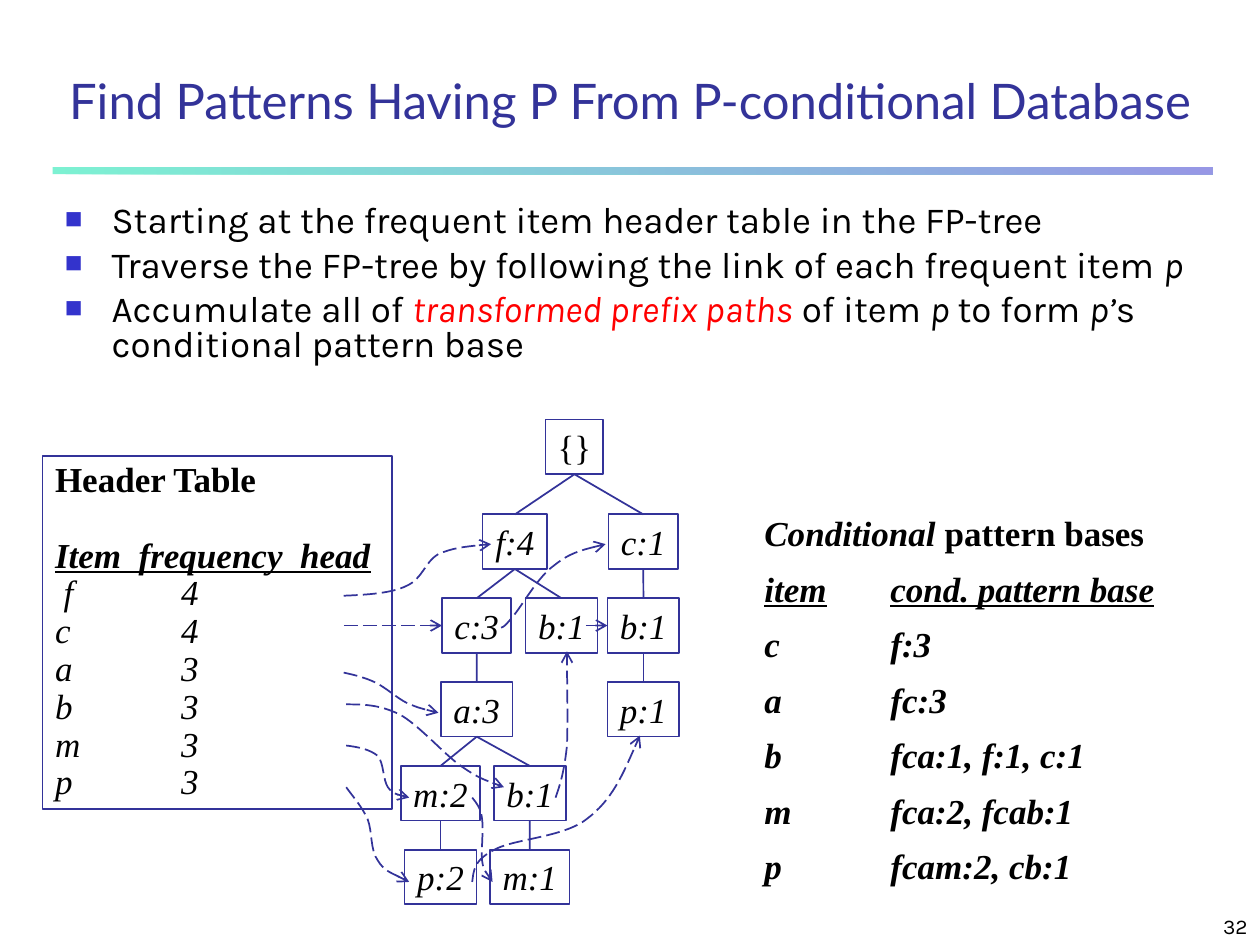
from collections import namedtuple
from dataclasses import dataclass

from lxml import etree
from pptx import Presentation
from pptx.dml.color import RGBColor
from pptx.enum.dml import MSO_LINE
from pptx.enum.shapes import MSO_CONNECTOR, MSO_SHAPE
from pptx.enum.text import MSO_ANCHOR, PP_ALIGN
from pptx.oxml.ns import qn
from pptx.util import Cm, Pt

RECTANGLE = MSO_SHAPE.RECTANGLE
STRAIGHT = MSO_CONNECTOR.STRAIGHT
LONG_DASH = MSO_LINE.LONG_DASH
TOP, BOTTOM = MSO_ANCHOR.TOP, MSO_ANCHOR.BOTTOM
LEFT, CENTER, RIGHT = PP_ALIGN.LEFT, PP_ALIGN.CENTER, PP_ALIGN.RIGHT
SIDE_TOP, SIDE_LEFT, SIDE_BOTTOM = 0, 1, 2

Box = namedtuple("Box", "left top width height")


@dataclass(frozen=True)
class Theme:
    ink: RGBColor = RGBColor(0, 0, 0)
    navy: RGBColor = RGBColor(0x33, 0x33, 0x99)
    blue: RGBColor = RGBColor(0x33, 0x33, 0xCC)
    green: RGBColor = RGBColor(0x00, 0xE4, 0xA8)
    red: RGBColor = RGBColor(0xFF, 0, 0)
    title_font: str = "Lato"
    body_font: str = "Karla"
    figure_font: str = "Times New Roman"
    title_size: int = 28
    body_size: int = 21
    figure_size: int = 20
    number_size: int = 12
    stroke: int = 1


THEME = Theme()

NODE_HEIGHT = 1.1
NODE_WIDTHS = {"{": 1.17, "f": 1.3, "c": 1.4, "m": 1.6}
LEVEL_TOPS = [0] + [1.91 + 1.69 * step for step in range(5)]
NODES = {
    "root": ("{}", 3.5, 0, None),
    "f4": ("f:4", 2.3, 1, "root"),
    "c1": ("c:1", 4.89, 1, "root"),
    "c3": ("c:3", 1.53, 2, "f4"),
    "b_middle": ("b:1", 3.24, 2, "f4"),
    "b_right": ("b:1", 4.89, 2, "c1"),
    "a3": ("a:3", 1.53, 3, "c3"),
    "p1": ("p:1", 4.89, 3, "b_right"),
    "m2": ("m:2", 0.8, 4, "a3"),
    "b_low": ("b:1", 2.6, 4, "a3"),
    "p2": ("p:2", 0.8, 5, "m2"),
    "m1": ("m:1", 2.6, 5, "b_low"),
}
STRAIGHT_LINKS = [(0, 1.64, "c3"), (4.88, 1.64, "b_right")]
CURVED_LINKS = [
    [(0, 1.04), (0.48, 1.02), (0.97, 0.99), (1.27, 0.84), (1.6, 0.69), (1.63, 0.36),
     (1.91, 0.2), (2.18, 0.08), (2.59, 0.03), (2.97, 0)],
    [(3.17, 1.68), (3.2, 1.68), (3.23, 1.68), (3.4, 1.47), (3.58, 1.27), (3.91, 0.66),
     (4.24, 0.43), (4.55, 0.18), (4.93, 0.08), (5.28, 0)],
    [(0, 2.59), (0.23, 2.64), (0.43, 2.69), (0.64, 2.79), (0.86, 2.9), (1.07, 3.1),
     (1.27, 3.2), (1.5, 3.3), (1.7, 3.35), (1.91, 3.4)],
    [(0.05, 3.23), (0.38, 3.23), (0.71, 3.23), (1.12, 3.43), (1.5, 3.63), (2.03, 4.24),
     (2.36, 4.47), (2.72, 4.72), (2.97, 4.8), (3.23, 4.9)],
    [(4.27, 5.11), (4.37, 4.83), (4.45, 4.55), (4.5, 4.06), (4.52, 3.56), (4.5, 2.87),
     (4.5, 2.16)],
    [(0.05, 4.06), (0.3, 4.09), (0.53, 4.14), (0.69, 4.27), (0.81, 4.42), (0.79, 4.75),
     (0.89, 4.9), (0.99, 5.03), (1.14, 5.08), (1.32, 5.11)],
    [(2.59, 5.11), (2.67, 5.21), (2.77, 5.33), (2.79, 5.54), (2.82, 5.74), (2.77, 6.17),
     (2.79, 6.38), (2.82, 6.58), (2.92, 6.71), (3, 6.81)],
    [(0.05, 4.9), (0.2, 5.11), (0.36, 5.28), (0.48, 5.54), (0.58, 5.79), (0.53, 6.17),
     (0.69, 6.38), (0.81, 6.58), (1.07, 6.68), (1.32, 6.81)],
    [(2.59, 6.81), (2.62, 6.58), (2.62, 6.38), (3.02, 6.17), (3.4, 5.94), (4.42, 5.92),
     (4.9, 5.54), (5.41, 5.16), (5.69, 4.5), (5.97, 3.86)],
]


def write(shape, rows, font, size, color, align=LEFT, anchor=TOP):
    frame = shape.text_frame
    frame.vertical_anchor = anchor
    for index, row in enumerate(rows):
        para = frame.add_paragraph() if index else frame.paragraphs[0]
        para.alignment = align
        for text, marks in row:
            span = para.add_run()
            span.text = text
            span.font.name, span.font.size = font, Pt(size)
            span.font.color.rgb = THEME.red if "r" in marks else color
            span.font.bold, span.font.italic = "b" in marks, "i" in marks
            span.font.underline = "u" in marks
    return frame.paragraphs


def add_text(page, box, rows, *style, **layout):
    shape = page.shapes.add_textbox(*map(Cm, box))
    shape.text_frame.word_wrap = True
    return write(shape, rows, *style, **layout)


def add_tab_stop(para):
    tabs = etree.SubElement(para._p.get_or_add_pPr(), qn("a:tabLst"))
    etree.SubElement(tabs, qn("a:tab"), pos=str(Cm(2.54)), algn="l")


def outline(shape):
    shape.line.color.rgb = THEME.navy
    shape.line.width = Pt(THEME.stroke)


def add_frame(page, box, rows, align=LEFT):
    shape = page.shapes.add_shape(RECTANGLE, *map(Cm, box))
    shape.shadow.inherit = False
    shape.fill.background()
    outline(shape)
    shape.text_frame.word_wrap = False
    write(shape, rows, THEME.figure_font, THEME.figure_size, THEME.ink, align=align)
    return shape


def add_node(page, box, label, marks):
    node = add_frame(page, box, [[(label, marks)]], align=CENTER)
    node.text_frame.margin_left = node.text_frame.margin_right = Cm(0)
    return node


def add_line(page, *ends):
    line = page.shapes.add_connector(STRAIGHT, *map(Cm, ends))
    outline(line)
    etree.SubElement(line._element.spPr, qn("a:effectLst"))
    return line


def make_link(shape):
    shape.line.dash_style = LONG_DASH
    etree.SubElement(shape.line._get_or_add_ln(), qn("a:tailEnd"), type="arrow")


def add_curve(page, points):
    start, *rest = [(Cm(x), Cm(y)) for x, y in points]
    builder = page.shapes.build_freeform(*start)
    builder.add_line_segments(rest, close=False)
    curve = builder.convert_to_shape()
    curve.shadow.inherit = False
    curve.fill.background()
    outline(curve)
    make_link(curve)
    segments = list(curve._element.iter(qn("a:lnTo")))
    for first in range(0, len(segments), 3):
        bezier = etree.SubElement(segments[first].getparent(), qn("a:cubicBezTo"))
        for segment in segments[first:first + 3]:
            bezier.append(segment[0])
            segment.getparent().remove(segment)


def add_heading(page, box, text):
    paras = add_text(page, Box(0, box.top, 25.4, 1.9), [[(text, "")]], THEME.title_font,
                     THEME.title_size, THEME.navy, align=CENTER, anchor=BOTTOM)
    paras[0].line_spacing = 0.9
    rule = page.shapes.add_shape(
        RECTANGLE, *map(Cm, (box.left, box.top + 2.53, box.width, 0.14)))
    rule.shadow.inherit = False
    rule.line.fill.background()
    rule.fill.gradient()
    rule.fill.gradient_angle = 0
    for stop, color in zip(rule.fill.gradient_stops, (THEME.green, THEME.blue)):
        stop.color.rgb = color
    for color in rule._element.spPr.iter(qn("a:srgbClr")):
        etree.SubElement(color, qn("a:alpha"), val="51000")


def add_bullets(page, box, rows):
    for para in add_text(page, box, rows, THEME.body_font, THEME.body_size, THEME.ink):
        para.line_spacing, para.space_before = 0.8, Pt(5.2)
        props = para._p.get_or_add_pPr()
        props.set("marL", str(Cm(0.94)))
        props.set("indent", str(-Cm(0.94)))
        color = etree.SubElement(props, qn("a:buClr"))
        etree.SubElement(color, qn("a:srgbClr"), val=str(THEME.blue))
        etree.SubElement(props, qn("a:buSzPct"), val="80000")
        etree.SubElement(props, qn("a:buFont"), typeface=THEME.figure_font)
        etree.SubElement(props, qn("a:buChar"), char="■")


def add_header_table(page, box):
    counts = [" f\t4", "c\t4", "a\t3", "b\t3", "m\t3", "p\t3"]
    rows = [[("Header Table", "b")], [("Item  frequency  head", "biu")]]
    table = add_frame(page, box, rows + [[(count, "i")] for count in counts])
    paras = table.text_frame.paragraphs
    for para in paras:
        para.line_spacing = 0.9
        add_tab_stop(para)
    paras[1].space_before = Pt(21.5)


def add_tree(page, box):
    shapes = {}
    for name, (label, center, level, parent) in NODES.items():
        width = NODE_WIDTHS.get(label[0], 1.45)
        place = Box(box.left + center - width / 2, box.top + LEVEL_TOPS[level],
                    width, NODE_HEIGHT)
        shapes[name] = add_node(page, place, label, "i" if parent else "")
        if parent:
            edge = add_line(page, 0, 0, 0, 0)
            edge.begin_connect(shapes[parent], SIDE_BOTTOM)
            edge.end_connect(shapes[name], SIDE_TOP)
    return shapes


def add_links(page, box, nodes):
    for x, y, target in STRAIGHT_LINKS:
        start = box.left + x, box.top + y
        link = add_line(page, *start, *start)
        link.end_connect(nodes[target], SIDE_LEFT)
        make_link(link)
    for points in CURVED_LINKS:
        add_curve(page, [(box.left + x, box.top + y) for x, y in points])


def add_pattern_bases(page, box):
    entries = ["c\tf:3", "a\tfc:3", "b\tfca:1, f:1, c:1", "m\tfca:2, fcab:1", "p\tfcam:2, cb:1"]
    rows = [[("Conditional ", "bi"), ("pattern bases", "b")],
            [("item", "biu"), ("\t", "bi"), ("cond. pattern base", "biu")]]
    paras = add_text(page, box, rows + [[(entry, "bi")] for entry in entries],
                     THEME.figure_font, THEME.figure_size, THEME.ink)
    for index, para in enumerate(paras):
        para.space_before = Pt(12.5)
        para.line_spacing = 0.8 if index else 1.0
        add_tab_stop(para)


def main():
    deck = Presentation()
    deck.slide_width, deck.slide_height = Cm(25.4), Cm(19.05)
    page = deck.slides.add_slide(deck.slide_layouts[6])
    add_heading(page, Box(1.06, 0.84, 23.38, 2.67),
                "Find Patterns Having P From P-conditional Database")
    add_bullets(page, Box(1.06, 4.02, 23.29, 4.23), [
        [("Starting at the frequent item header table in the FP-tree", "")],
        [("Traverse the FP-tree by following the link of each frequent item ", ""), ("p", "i")],
        [("Accumulate all of ", ""), ("transformed prefix paths", "ir"), (" of item ", ""),
         ("p ", "i"), ("to form ", ""), ("p’", "i"), ("s conditional pattern base", "")],
    ])
    add_pattern_bases(page, Box(15.16, 10.19, 9.25, 7.82))
    nodes = add_tree(page, Box(8.08, 8.46, 5.61, 9.77))
    add_header_table(page, Box(0.86, 9.2, 7.04, 7.11))
    add_links(page, Box(6.93, 10.97, 5.97, 6.81), nodes)
    add_text(page, Box(20.12, 17.98, 5.28, 1.07), [[("32", "")]], THEME.body_font,
             THEME.number_size, THEME.ink, align=RIGHT, anchor=BOTTOM)
    deck.save("out.pptx")


if __name__ == "__main__":
    main()
